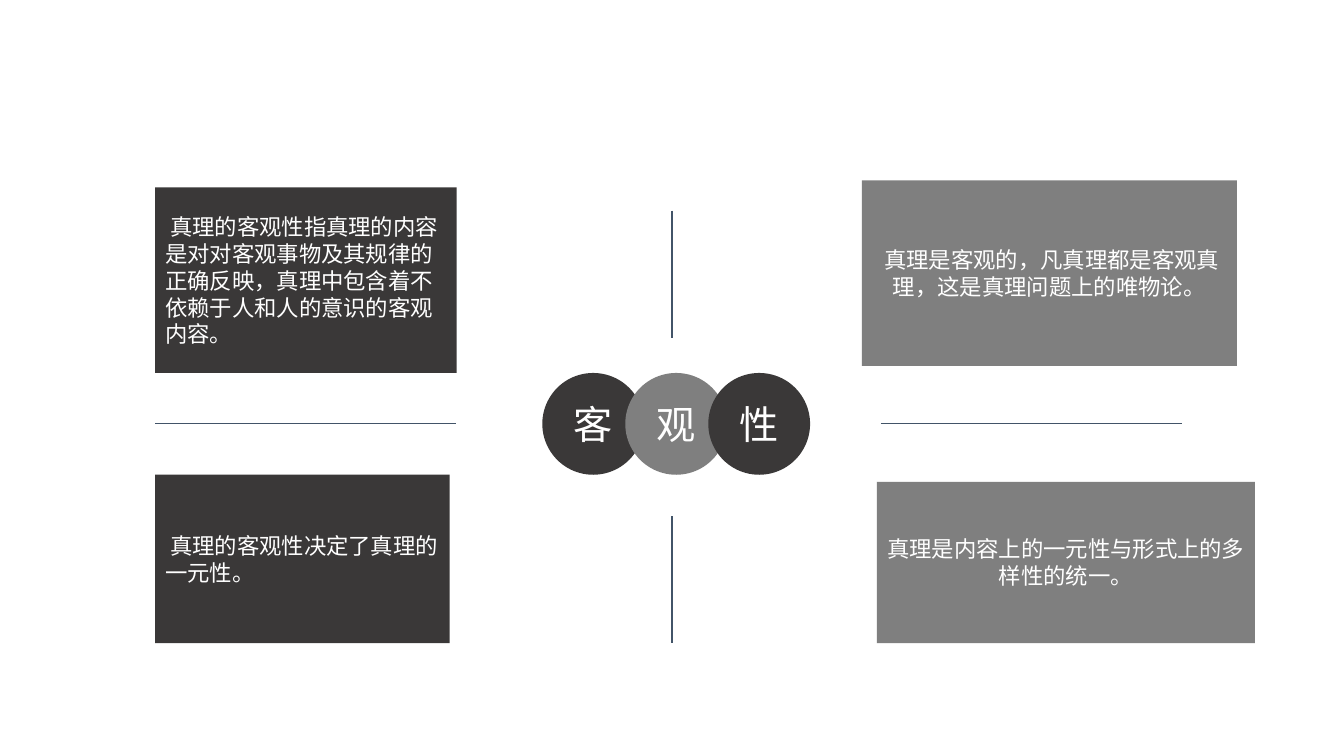
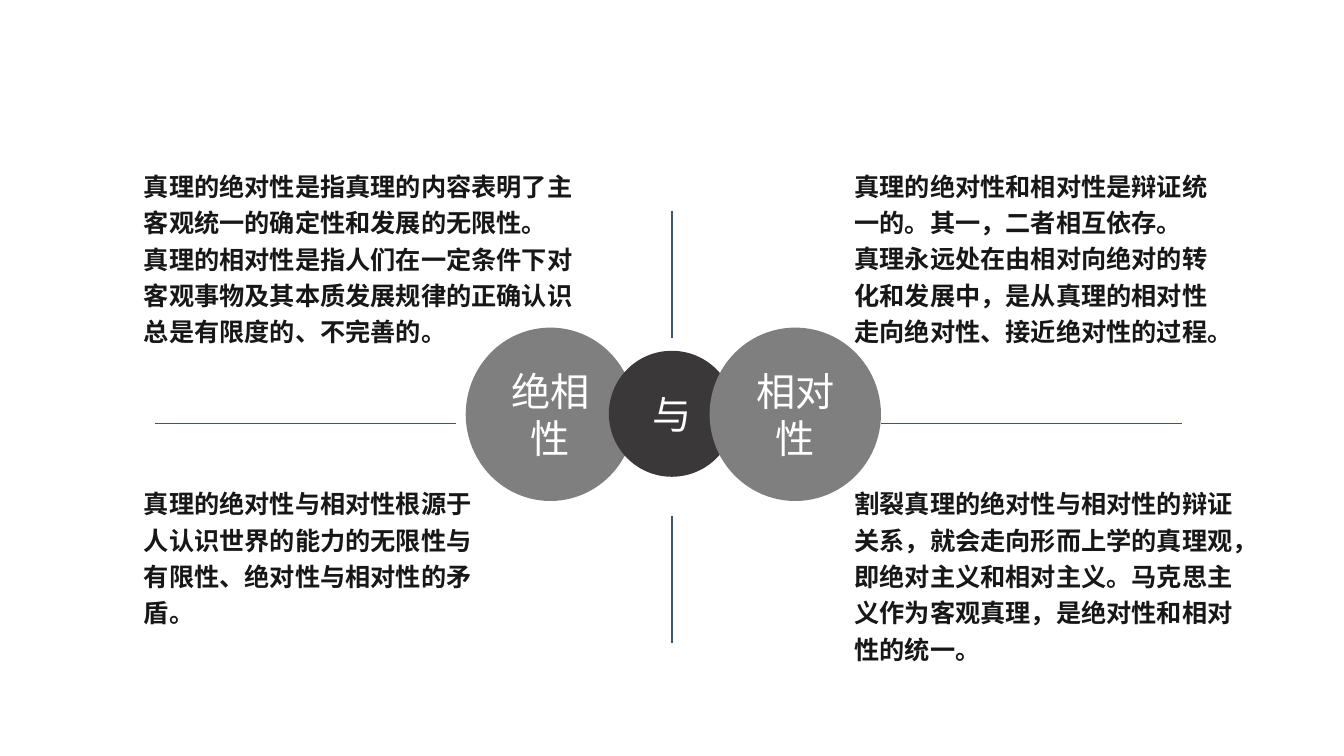
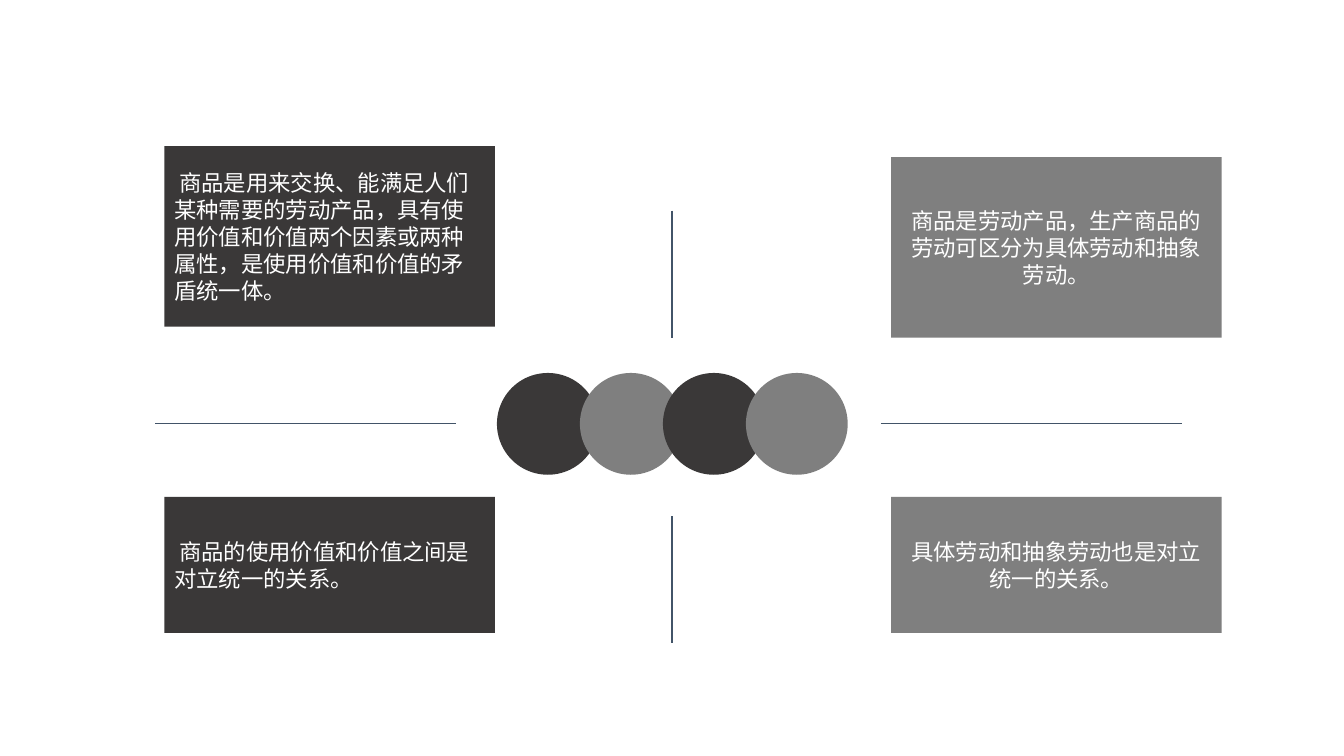
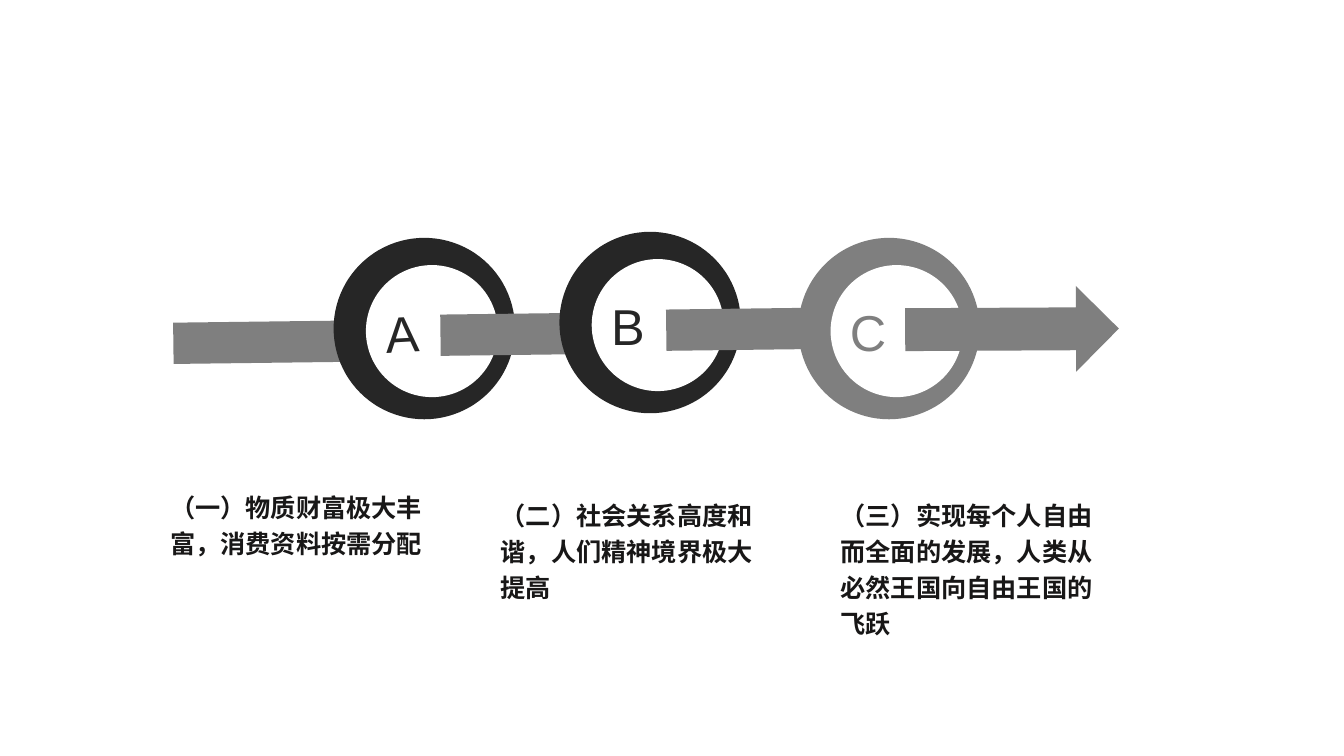
from lxml import etree
from pptx import Presentation
from pptx.dml.color import RGBColor
from pptx.enum.shapes import MSO_CONNECTOR, MSO_SHAPE
from pptx.enum.text import MSO_ANCHOR, PP_ALIGN
from pptx.oxml.ns import qn
from pptx.util import Inches, Pt

DARK = RGBColor(0x3A, 0x38, 0x38)
GREY = RGBColor(0x7F, 0x7F, 0x7F)
RING_DARK = RGBColor(0x26, 0x26, 0x26)
INK = RGBColor(0x18, 0x17, 0x17)
LINE = RGBColor(0x42, 0x54, 0x68)
WHITE = RGBColor(0xFF, 0xFF, 0xFF)

CJK_FONT = "Noto Sans CJK SC"
LATIN_FONT = "Arial"

RECTANGLE = MSO_SHAPE.RECTANGLE
OVAL = MSO_SHAPE.OVAL
RIGHT_ARROW = MSO_SHAPE.RIGHT_ARROW
STRAIGHT = MSO_CONNECTOR.STRAIGHT
MIDDLE = MSO_ANCHOR.MIDDLE
LEFT, CENTER = PP_ALIGN.LEFT, PP_ALIGN.CENTER

BLANK_LAYOUT = 6
SLIDE_HEIGHT = 7.5
SLIDE_WIDTH = SLIDE_HEIGHT * 16 / 9
MID_X = SLIDE_WIDTH / 2
CROSS_ARMS = [
    (MID_X, 2.09, MID_X, 3.35),
    (MID_X, 5.12, MID_X, 6.38),
    (1.54, 4.2, 4.52, 4.2),
    (8.74, 4.2, 11.73, 4.2),
]
BEAD_SIZE, BEAD_STEP, BEAD_TOP = 1.01, 2.47 / 3, 3.7
RING_SIZE, DISC_SIZE = 1.8, 1.31
BAR_HEIGHT, BAR_TILT = 0.41, -0.7


def inches(*lengths):
    return [Inches(length) for length in lengths]


def style_runs(paragraph, size, color, font=CJK_FONT, bold=False):
    for run in paragraph.runs:
        run.font.size = Pt(size)
        run.font.bold = bold
        run.font.color.rgb = color
        run.font.name = font
        east_asian = etree.SubElement(run.font._element, qn("a:ea"))
        east_asian.set("typeface", font)


def add_filled(slide, kind, box, fill, tilt=0):
    shape = slide.shapes.add_shape(kind, *inches(*box))
    shape.shadow.inherit = False
    shape.fill.solid()
    shape.fill.fore_color.rgb = fill
    shape.line.fill.background()
    shape.rotation = tilt
    return shape


def write_label(shape, text, size, color=WHITE, align=CENTER, font=CJK_FONT):
    frame = shape.text_frame
    frame.word_wrap = True
    frame.vertical_anchor = MIDDLE
    frame.text = text
    frame.paragraphs[0].alignment = align
    style_runs(frame.paragraphs[0], size, color, font)


def add_card(slide, box, fill, text, align):
    write_label(add_filled(slide, RECTANGLE, box, fill), text, 16, align=align)


def add_circle(slide, box, fill, text=""):
    circle = add_filled(slide, OVAL, box, fill)
    if text:
        write_label(circle, text, 28)


def add_beads(slide, left, labels):
    """Row of overlapping circles in alternating colours."""
    for i, label in enumerate(labels):
        box = (left + i * BEAD_STEP, BEAD_TOP, BEAD_SIZE, BEAD_SIZE)
        add_circle(slide, box, GREY if i % 2 else DARK, label)


def add_cross(slide):
    """The four lines that part the slide into quarters."""
    for arm in CROSS_ARMS:
        connector = slide.shapes.add_connector(STRAIGHT, *inches(*arm))
        connector.line.color.rgb = LINE
        connector.line.width = Pt(1)
        etree.SubElement(connector._element.spPr, qn("a:effectLst"))


def add_passage(slide, box, *paragraphs):
    frame = slide.shapes.add_textbox(*inches(*box)).text_frame
    frame.word_wrap = True
    frame.text = "\n".join(paragraphs)
    for paragraph in frame.paragraphs:
        paragraph.line_spacing = 1.2
        style_runs(paragraph, 18, INK, bold=True)


def add_bar(slide, left, top):
    add_filled(slide, RECTANGLE, (left, top, RING_SIZE, BAR_HEIGHT), GREY, BAR_TILT)


def add_ring(slide, left, top, color, letter, tilt):
    add_filled(slide, OVAL, (left, top, RING_SIZE, RING_SIZE), color)
    disc_box = (left + 0.32, top + 0.27, DISC_SIZE, DISC_SIZE)
    disc = add_filled(slide, OVAL, disc_box, WHITE, tilt)
    write_label(disc, letter, 36, color, LEFT, LATIN_FONT)
    frame = disc.text_frame
    frame.margin_left = frame.margin_top = frame.margin_bottom = 0
    frame.margin_right = Inches(0.12)


def build_objectivity(slide):
    add_cross(slide)
    add_beads(slide, 5.38, "客观性")
    add_card(slide, (1.54, 1.86, 2.99, 1.84), DARK,
             " 真理的客观性指真理的内容是对对客观事物及其规律的正确反映，"
             "真理中包含着不依赖于人和人的意识的客观内容。", LEFT)
    add_card(slide, (8.55, 1.79, 3.72, 1.84), GREY,
             " 真理是客观的，凡真理都是客观真理，这是真理问题上的唯物论。", CENTER)
    add_card(slide, (1.54, 4.71, 2.92, 1.67), DARK,
             " 真理的客观性决定了真理的一元性。", LEFT)
    add_card(slide, (8.7, 4.78, 3.75, 1.6), GREY,
             "真理是内容上的一元性与形式上的多样性的统一。", CENTER)


def build_absolute_and_relative(slide):
    add_circle(slide, (4.62, 3.25, 1.68, 1.72), GREY, "绝相性")
    add_circle(slide, (6.04, 3.48, 1.25, 1.25), DARK, "与")
    add_circle(slide, (7.04, 3.25, 1.7, 1.72), GREY, "相对性")
    add_cross(slide)
    add_passage(slide, (1.33, 1.59, 4.54, 2.49),
                "真理的绝对性是指真理的内容表明了主客观统一的确定性和发展的无限性。",
                "真理的相对性是指人们在一定条件下对客观事物及其本质发展规律的"
                "正确认识总是有限度的、不完善的。")
    add_passage(slide, (8.38, 1.59, 3.94, 2.06),
                "真理的绝对性和相对性是辩证统",
                "一的。其一，二者相互依存。",
                "真理永远处在由相对向绝对的转化和发展中，"
                "是从真理的相对性走向绝对性、接近绝对性的过程。")
    add_passage(slide, (1.33, 4.74, 3.65, 2.14),
                "真理的绝对性与相对性根源于人认识世界的能力的无限性与有限性、"
                "绝对性与相对性的矛盾。")
    add_passage(slide, (8.38, 4.74, 3.96, 1.93),
                "割裂真理的绝对性与相对性的辩证关系，就会走向形而上学的真理观，"
                "即绝对主义和相对主义。马克思主义作为客观真理，"
                "是绝对性和相对性的统一。")


def build_commodity(slide):
    add_cross(slide)
    add_beads(slide, 4.93, [""] * 4)
    left, right, width = 1.63, 8.84, 3.28
    add_card(slide, (left, 1.45, width, 1.79), DARK,
             " 商品是用来交换、能满足人们某种需要的劳动产品，"
             "具有使用价值和价值两个因素或两种属性，是使用价值和价值的矛盾统一体。", LEFT)
    add_card(slide, (right, 1.56, width, 1.79), GREY,
             "商品是劳动产品，生产商品的劳动可区分为具体劳动和抽象劳动。", CENTER)
    add_card(slide, (left, 4.93, width, 1.35), DARK,
             " 商品的使用价值和价值之间是对立统一的关系。", LEFT)
    add_card(slide, (right, 4.93, width, 1.35), GREY,
             "具体劳动和抽象劳动也是对立统一的关系。", CENTER)


def build_stages(slide):
    add_bar(slide, 1.72, 3.19)
    add_ring(slide, 3.31, 2.36, RING_DARK, "A", -3.3)
    add_bar(slide, 4.37, 3.11)
    add_ring(slide, 5.55, 2.3, RING_DARK, "B", 0)
    add_bar(slide, 6.61, 3.06)
    add_ring(slide, 7.92, 2.36, GREY, "C", 0)
    add_filled(slide, RIGHT_ARROW, (8.98, 2.84, 2.12, 0.85), GREY, -0.3)
    stages = [
        (1.59, 4.77, "（一）物质财富极大丰富，消费资料按需分配"),
        (4.87, 4.85, "（二）社会关系高度和谐，人们精神境界极大提高"),
        (8.24, 4.85, "（三）实现每个人自由而全面的发展，人类从必然王国向自由王国的飞跃"),
    ]
    for left, top, text in stages:
        add_passage(slide, (left, top, 2.77, 0.61), text)


def main():
    prs = Presentation()
    prs.slide_width, prs.slide_height = inches(SLIDE_WIDTH, SLIDE_HEIGHT)
    for build in (build_objectivity, build_absolute_and_relative,
                  build_commodity, build_stages):
        build(prs.slides.add_slide(prs.slide_layouts[BLANK_LAYOUT]))
    prs.save("out.pptx")


if __name__ == "__main__":
    main()
